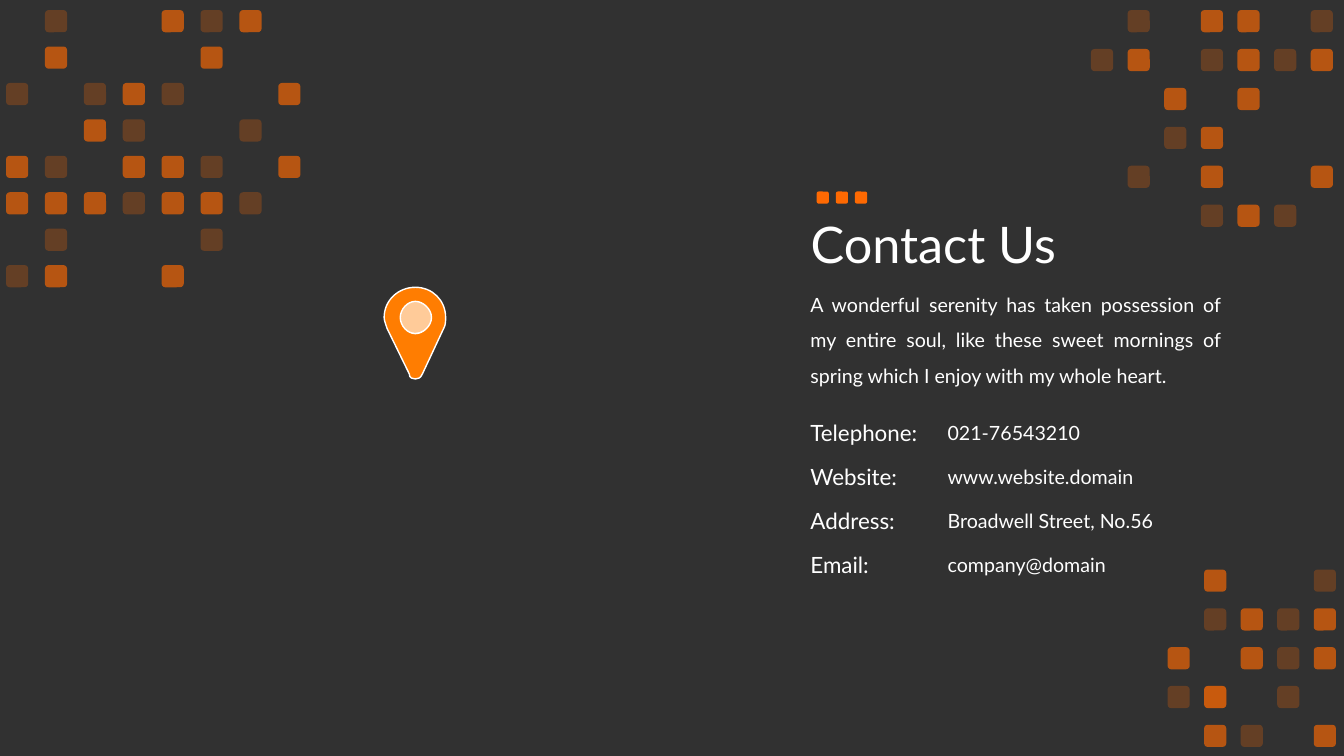
"""Build the Contact Us slide with its map pin and scattered squares."""
from lxml.etree import SubElement
from pptx import Presentation
from pptx.dml.color import RGBColor
from pptx.enum.shapes import MSO_SHAPE
from pptx.enum.text import MSO_ANCHOR, MSO_AUTO_SIZE, PP_ALIGN
from pptx.oxml.ns import qn
from pptx.util import Inches, Pt

COLOURS = {
    "background": "313131",
    "square": "FE6902",
    "pin": "FF7D01",
    "pin_centre": "FFCB99",
    "white": "FFFFFF",
}
FONT = "Lato"
SQUARE_SIZE = 0.22
OPACITIES = {".": [], "o": [25], "#": [65], "x": [65, 25]}

TOP_LEFT = [
    ".o..#o#.",
    ".#...#..",
    "o.o#o..#",
    "..#o..o.",
    "#o.##o.#",
    "###o##o.",
    ".o...o..",
    "o#..#...",
]
TOP_RIGHT = [
    ".o.##.o",
    "o#.o#o#",
    "..#.#..",
    "..o#...",
    ".o.#..#",
    "...o#o.",
]
BOTTOM_RIGHT = [
    ".#..o",
    ".o#o#",
    "#.#o#",
    "ox.o.",
    ".#o.#",
]

CONTACTS = [
    ("Telephone:", "021-76543210"),
    ("Website:", "www.website.domain"),
    ("Address:", "Broadwell Street, No.56"),
    ("Email:", "company@domain"),
]

PIN_OUTLINE = [
    (4.4, 3.26),
    (4.19, 3.71), (4.19, 3.71), (4.19, 3.71),
    (4.17, 3.75), (4.15, 3.76), (4.12, 3.76),
    (4.09, 3.76), (4.06, 3.75), (4.06, 3.71),
    (3.84, 3.26), (3.84, 3.26), (3.84, 3.26),
    (3.83, 3.23), (3.81, 3.18), (3.81, 3.15),
    (3.81, 2.98), (3.95, 2.85), (4.12, 2.85),
    (4.29, 2.85), (4.42, 2.98), (4.42, 3.15),
    (4.42, 3.18), (4.42, 3.23), (4.4, 3.26),
]
PIN_HOLE = [
    (4.12, 2.99),
    (4.04, 2.99), (3.97, 3.07), (3.97, 3.15),
    (3.97, 3.23), (4.04, 3.31), (4.12, 3.31),
    (4.2, 3.31), (4.28, 3.23), (4.28, 3.15),
    (4.28, 3.07), (4.2, 2.99), (4.12, 2.99),
]


def colour(name):
    return RGBColor.from_string(COLOURS[name])


def paint(shape, fill, line=None):
    shape.shadow.inherit = False
    shape.fill.solid()
    shape.fill.fore_color.rgb = colour(fill)
    if line:
        shape.line.color.rgb = colour(line)
        shape.line.width = Pt(1)
    else:
        shape.line.fill.background()


def add_square(group, left, top, size, opacity=100):
    square = group.shapes.add_shape(
        MSO_SHAPE.ROUNDED_RECTANGLE, Inches(left), Inches(top), Inches(size), Inches(size)
    )
    paint(square, "square")
    if opacity < 100:
        tint = square.fill._xPr.find(qn("a:solidFill"))[0]
        SubElement(tint, qn("a:alpha")).set("val", str(opacity * 1000))


def add_mosaic(page, pattern, first, last):
    """Spread the pattern evenly between the first and last square positions."""
    group = page.shapes.add_group_shape()
    step_x = (last[0] - first[0]) / (len(pattern[0]) - 1)
    step_y = (last[1] - first[1]) / (len(pattern) - 1)
    for row, marks in enumerate(pattern):
        for column, mark in enumerate(marks):
            for opacity in OPACITIES[mark]:
                left = first[0] + column * step_x
                top = first[1] + row * step_y
                add_square(group, left, top, SQUARE_SIZE, opacity)


def to_inches(points):
    return [(Inches(x), Inches(y)) for x, y in points]


def curve_segments(shape):
    """Turn every three line segments into one cubic curve."""
    segments = list(shape._element.iter(qn("a:lnTo")))
    for index in range(0, len(segments), 3):
        curve, *rest = segments[index:index + 3]
        cubic = curve.makeelement(qn("a:cubicBezTo"))
        curve.addprevious(cubic)
        for segment in (curve, *rest):
            cubic.append(segment[0])
            segment.getparent().remove(segment)


def add_pin(page):
    group = page.shapes.add_group_shape()
    centre = group.shapes.add_shape(
        MSO_SHAPE.OVAL, Inches(3.94), Inches(2.96), Inches(0.35), Inches(0.35)
    )
    paint(centre, "pin_centre", "white")
    outline, hole = to_inches(PIN_OUTLINE), to_inches(PIN_HOLE)
    builder = group.shapes.build_freeform(*outline[0])
    builder.add_line_segments(outline[1:], close=True)
    builder.move_to(*hole[0])
    builder.add_line_segments(hole[1:], close=True)
    pin = builder.convert_to_shape()
    curve_segments(pin)
    paint(pin, "pin", "white")


def write(para, text, size):
    span = para.add_run()
    span.text = text
    span.font.name = FONT
    span.font.size = Pt(size)
    span.font.color.rgb = colour("white")


def add_title(page, text):
    title = page.shapes.title
    title.left, title.top = Inches(7.94), Inches(1.73)
    title.width, title.height = Inches(11.5), Inches(1.45)
    title.text_frame.vertical_anchor = MSO_ANCHOR.MIDDLE
    para = title.text_frame.paragraphs[0]
    para.alignment = PP_ALIGN.LEFT
    para.line_spacing = 0.9
    write(para, text, 36)


def add_text(page, text, left, top, width, height, size):
    box = page.shapes.add_textbox(Inches(left), Inches(top), Inches(width), Inches(height))
    box.text_frame.word_wrap = True
    box.text_frame.auto_size = MSO_AUTO_SIZE.SHAPE_TO_FIT_TEXT
    para = box.text_frame.paragraphs[0]
    write(para, text, size)
    return para


def main():
    deck = Presentation()
    deck.slide_width, deck.slide_height = Inches(13.33), Inches(7.5)
    page = deck.slides.add_slide(deck.slide_layouts[5])
    page.background.fill.solid()
    page.background.fill.fore_color.rgb = colour("background")

    add_mosaic(page, TOP_LEFT, (0.06, 0.1), (2.76, 2.63))
    add_title(page, "Contact Us")
    intro = add_text(
        page,
        "A wonderful serenity has taken possession of my entire soul, like these "
        "sweet mornings of spring which I enjoy with my whole heart.",
        7.94, 2.74, 4.27, 1.11, 14,
    )
    intro.alignment = PP_ALIGN.JUSTIFY
    intro.line_spacing = 1.5
    pitch = (5.42 - 4.11) / (len(CONTACTS) - 1)
    for row, (label, value) in enumerate(CONTACTS):
        top = 4.11 + row * pitch
        add_text(page, label, 7.94, top, 2.08, 0.37, 16)
        add_text(page, value, 9.3, top + 0.02, 2.57, 0.34, 14)
    add_pin(page)
    add_mosaic(page, TOP_RIGHT, (10.82, 0.1), (13, 2.03))
    add_mosaic(page, BOTTOM_RIGHT, (11.58, 5.65), (13.03, 7.19))
    accent = page.shapes.add_group_shape()
    for index in range(3):
        add_square(accent, 8.1 + index * 0.19, 1.9, 0.12)
    deck.save("out.pptx")


if __name__ == "__main__":
    main()
